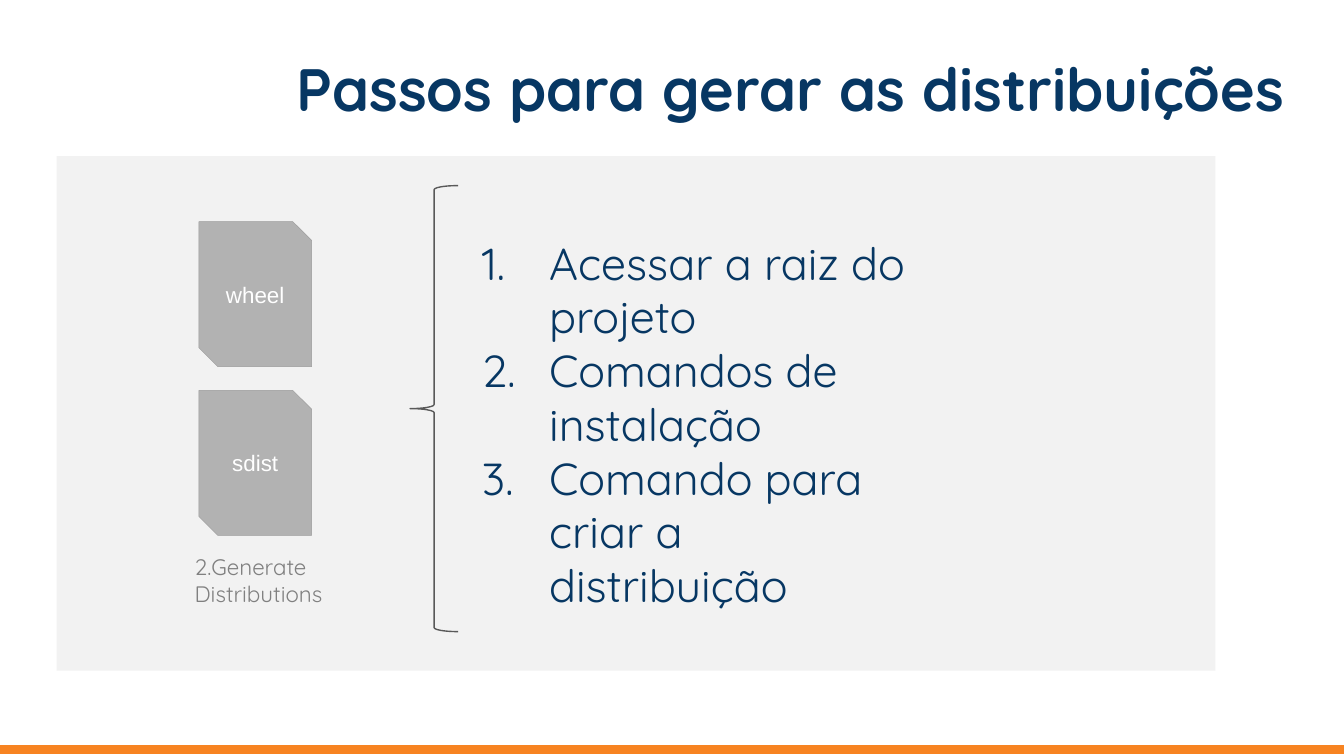
"""Build a slide on the steps for generating Python distributions."""
import lxml.etree
import pptx
import pptx.dml.color
import pptx.enum.shapes
import pptx.enum.text
import pptx.oxml.ns
import pptx.util

Cm = pptx.util.Cm
Pt = pptx.util.Pt
RGBColor = pptx.dml.color.RGBColor
SHAPE = pptx.enum.shapes.MSO_SHAPE
ALIGN = pptx.enum.text.PP_ALIGN
ANCHOR = pptx.enum.text.MSO_ANCHOR
qn = pptx.oxml.ns.qn

NAVY = RGBColor(0x07, 0x37, 0x63)
ORANGE = RGBColor(0xF7, 0x83, 0x21)
PANEL = RGBColor(0xF2, 0xF2, 0xF2)
FILE_FILL = RGBColor(0xB2, 0xB2, 0xB2)
FILE_EDGE = RGBColor(0x9B, 0x9B, 0x9B)
BRACE = RGBColor(0x59, 0x59, 0x59)
CAPTION = RGBColor(0x80, 0x80, 0x80)
WHITE = RGBColor(0xFF, 0xFF, 0xFF)

STEPS = [
    "Acessar a raiz do projeto",
    "Comandos de instalação",
    "Comando para criar a distribuição",
]


def add_shape(shapes, kind, place, fill=None, edge=None, width=0.75):
    shape = shapes.add_shape(kind, *map(Cm, place))
    shape.shadow.inherit = False
    if fill is None:
        shape.fill.background()
    else:
        shape.fill.solid()
        shape.fill.fore_color.rgb = fill
    if edge is None:
        shape.line.fill.background()
    else:
        shape.line.color.rgb = edge
        shape.line.width = Pt(width)
    return shape


def write(frame, text, size, color, font="Quicksand", bold=False,
          align=ALIGN.LEFT, anchor=ANCHOR.TOP):
    frame.word_wrap = True
    frame.vertical_anchor = anchor
    frame.text = text
    for para in frame.paragraphs:
        para.alignment = align
        for span in para.runs:
            span.font.size = Pt(size)
            span.font.name = font
            span.font.bold = bold
            span.font.color.rgb = color


def add_text(shapes, place, text, size, color, **style):
    box = shapes.add_textbox(*map(Cm, place))
    frame = box.text_frame
    frame.margin_left = frame.margin_right = Cm(0.25)
    frame.margin_top = frame.margin_bottom = Cm(0.25)
    write(frame, text, size, color, **style)
    return frame


def indent(para, left, hanging=0):
    properties = para._p.get_or_add_pPr()
    properties.set("marL", str(Cm(left)))
    properties.set("indent", str(Cm(-hanging)))
    return properties


def number(para, color):
    properties = indent(para, 1.47, 1.27)
    bullet_color = lxml.etree.SubElement(properties, qn("a:buClr"))
    lxml.etree.SubElement(bullet_color, qn("a:srgbClr"), val=str(color))
    lxml.etree.SubElement(properties, qn("a:buFont"), typeface="Quicksand")
    lxml.etree.SubElement(properties, qn("a:buAutoNum"), type="arabicPeriod")


def add_distributions(page):
    shapes = page.shapes.add_group_shape().shapes
    for index, name in enumerate(["wheel", "sdist"]):
        place = (3.76, 4.19 + 3.19 * index, 2.13, 2.74)
        file = add_shape(shapes, SHAPE.SNIP_2_DIAG_RECTANGLE, place,
                         FILE_FILL, FILE_EDGE, 0.25)
        write(file.text_frame, name, 12, WHITE, font="Arial",
              align=ALIGN.CENTER, anchor=ANCHOR.MIDDLE)
    frame = add_text(shapes, (3.23, 10.21, 3.48, 1.22),
                     "2.Generate Distributions", 12, CAPTION)
    indent(frame.paragraphs[0], 0.2)


def add_steps(page):
    frame = add_text(page.shapes, (8.66, 4.2, 8.86, 7.42),
                     "\n".join(STEPS), 24, NAVY)
    for para in frame.paragraphs:
        number(para, NAVY)


def main():
    deck = pptx.Presentation()
    deck.slide_width, deck.slide_height = Cm(25.4), Cm(14.29)
    page = deck.slides.add_slide(deck.slide_layouts[6])
    add_shape(page.shapes, SHAPE.RECTANGLE, (1.07, 2.95, 21.9, 9.73), PANEL)
    add_text(page.shapes, (0.86, 0.84, 23.67, 1.65),
             "Passos para gerar as distribuições", 32, NAVY, bold=True,
             align=ALIGN.RIGHT, anchor=ANCHOR.MIDDLE)
    add_shape(page.shapes, SHAPE.RECTANGLE, (0, 14.1, 25.4, 0.15), ORANGE, ORANGE)
    add_distributions(page)
    add_steps(page)
    add_shape(page.shapes, SHAPE.LEFT_BRACE, (7.75, 3.51, 0.91, 8.43), edge=BRACE)
    deck.save("out.pptx")


if __name__ == "__main__":
    main()
